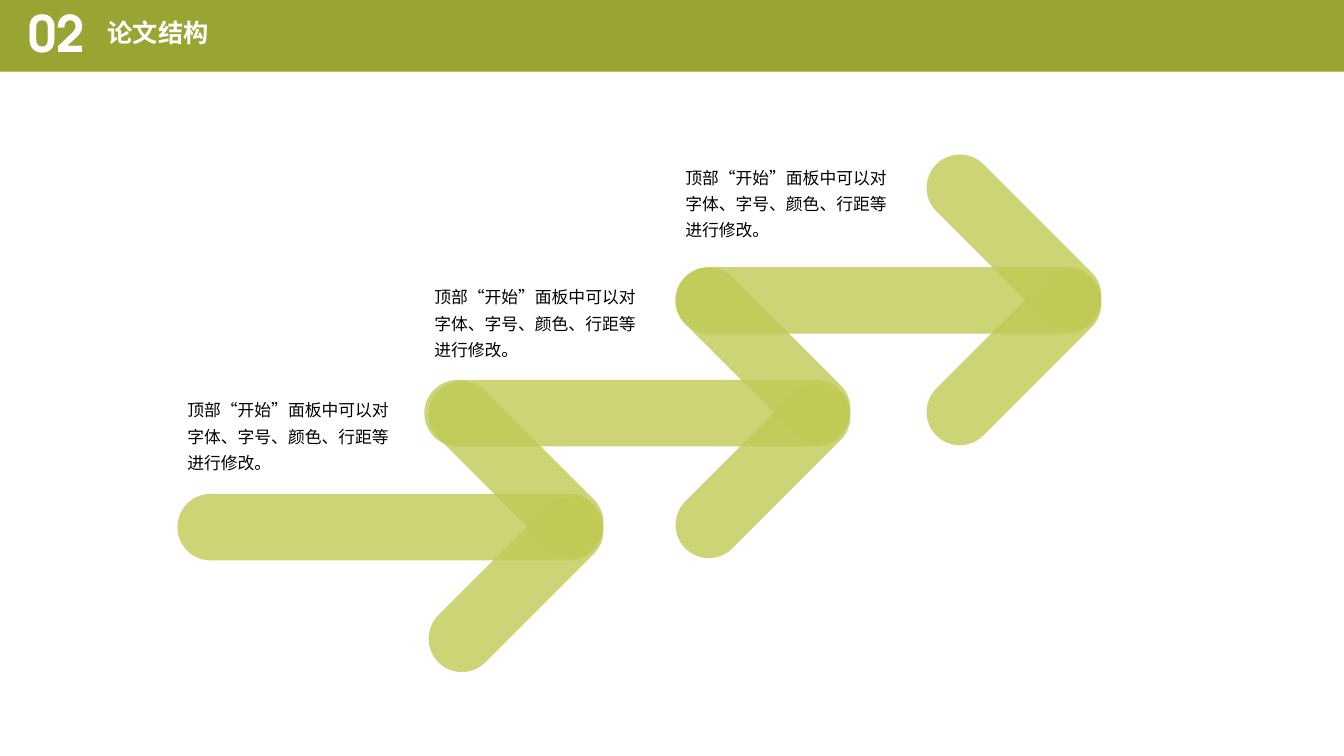
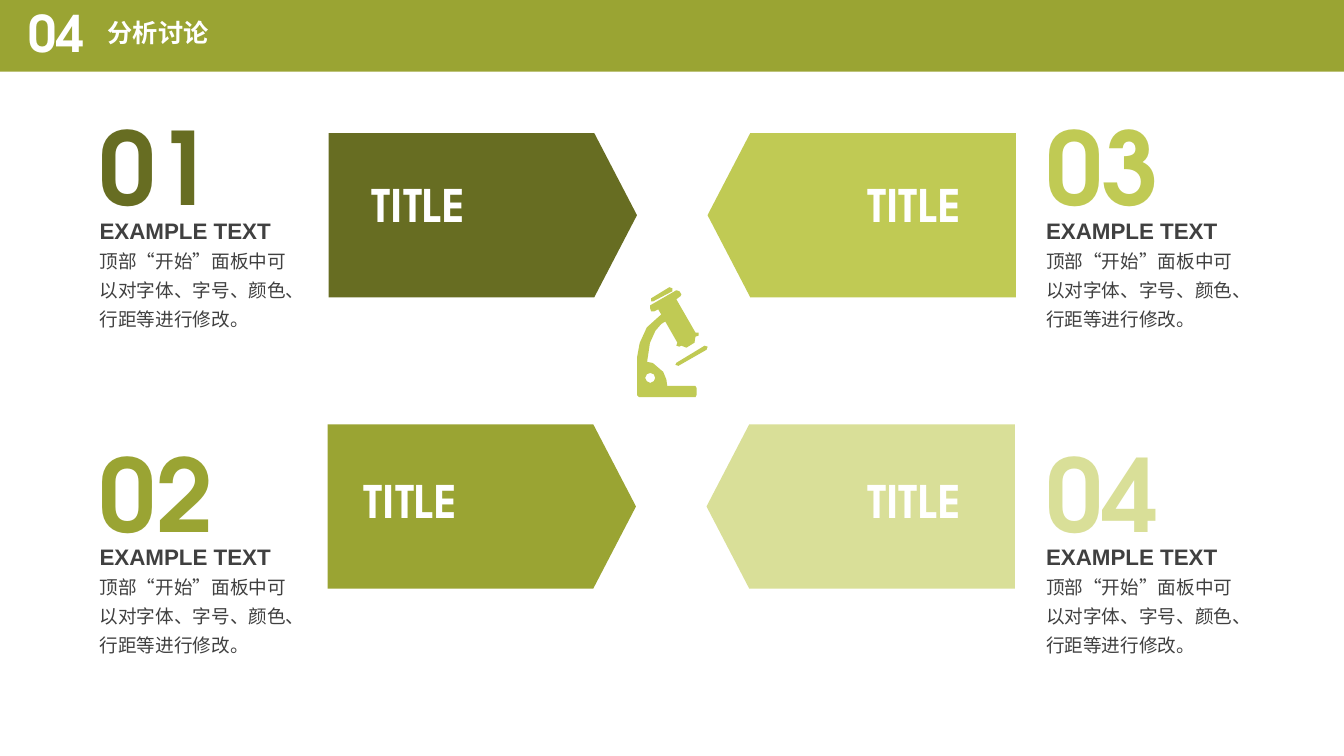
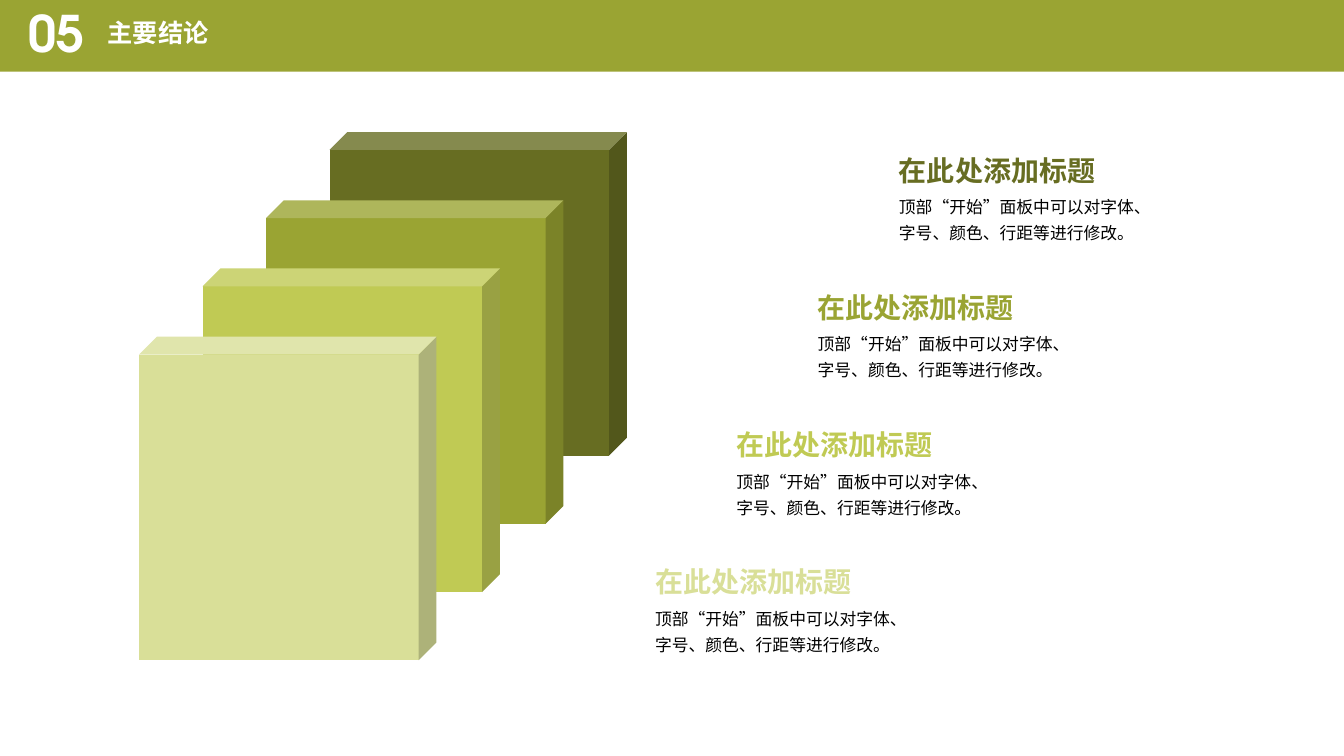
from math import dist

from lxml import etree
from pptx import Presentation
from pptx.dml.color import RGBColor
from pptx.enum.shapes import MSO_SHAPE as SHAPE
from pptx.enum.text import MSO_ANCHOR, MSO_AUTO_SIZE as FIT, PP_ALIGN
from pptx.oxml.ns import qn
from pptx.util import Inches, Pt

DARK = RGBColor(0x67, 0x6D, 0x22)
OLIVE = RGBColor(0x9A, 0xA4, 0x33)
LIME = RGBColor(0xC0, 0xCA, 0x54)
PALE = RGBColor(0xD9, 0xDF, 0x98)
GREY = RGBColor(0x40, 0x40, 0x40)
BLACK = RGBColor(0, 0, 0)
WHITE = RGBColor(0xFF, 0xFF, 0xFF)

DISPLAY = "TeX Gyre Adventor"
CJK = "Noto Sans CJK SC"
HINT = "顶部“开始”面板中可以对字体、字号、颜色、行距等进行修改。"
SLIDE_W = 40 / 3


def add_text(s, text, box, size, color, font=CJK, bold=False, spacing=1.0,
             wrap=True, fit=FIT.SHAPE_TO_FIT_TEXT):
    tf = s.shapes.add_textbox(*map(Inches, box)).text_frame
    tf.word_wrap = wrap
    tf.auto_size = fit
    p = tf.paragraphs[0]
    p.text = text
    p.line_spacing = spacing
    f = p.runs[0].font
    f.name, f.size, f.bold = font, Pt(size), bold
    f.color.rgb = color
    ea = etree.SubElement(p.runs[0]._r.rPr, qn("a:ea"))
    ea.set("typeface", CJK)
    return tf


def add_block(s, kind, box, color, adj=None):
    sp = s.shapes.add_shape(kind, *map(Inches, box))
    sp.shadow.inherit = False
    sp.fill.solid()
    sp.fill.fore_color.rgb = color
    sp.line.fill.background()
    if adj is not None:
        sp.adjustments[0] = adj
    return sp


prs = Presentation()
prs.slide_width, prs.slide_height = Inches(SLIDE_W), Inches(7.5)
blank = prs.slide_layouts[6]

# Section number and title on every slide
slides = []
for number, title in [("02", "论文结构"), ("04", "分析讨论"), ("05", "主要结论")]:
    s = prs.slides.add_slide(blank)
    heading = add_text(s, title, (0.97, 0.16, 4.18, 0.4), 18, WHITE, DISPLAY,
                       True, 0.9, fit=FIT.NONE)
    badge = add_text(s, number, (0.18, 0.09, 0.79, 0.53), 36, WHITE, DISPLAY,
                     True, 0.9, fit=FIT.NONE)
    badge.vertical_anchor = MSO_ANCHOR.MIDDLE
    for tf in (heading, badge):
        tf.paragraphs[0].space_before = Pt(10)
    slides.append(s)
structure, discussion, conclusion = slides

# Header band, moved to the layout that all slides share
band = add_block(structure, SHAPE.RECTANGLE, (0, 0, SLIDE_W, 0.71), OLIVE)
blank.shapes._spTree.append(band._element)

# Structure: three rising arrows, each a shaft and two tilted head bars
arrows = [(1.76, 4.9, 3.86), (4.21, 3.77, 2.74), (6.7, 2.65, 1.55)]
for x, y, text_y in arrows:
    for dx, dy, width, angle in [(0, 0, 4.22, 0), (2.27, -0.58, 2.18, 45),
                                 (2.27, 0.57, 2.18, 315)]:
        bar = add_block(structure, SHAPE.ROUNDED_RECTANGLE,
                        (x + dx, y + dy, width, 0.66), LIME, 0.5)
        bar.rotation = angle
        clr = bar.fill._xPr.find(qn("a:solidFill"))[0]
        etree.SubElement(clr, qn("a:alpha")).set("val", "80000")
for x, y, text_y in reversed(arrows):
    add_text(structure, HINT, (x, text_y, 2.35, 0.89), 12, BLACK, spacing=1.3)

# Discussion: four cards, each a pentagon with a numbered text block
cards = [  # number, colour, text left and top, pentagon left and top, title left and top
    ("01", DARK, 0.89, 0.99, 3.26, 1.32, 3.59, 1.71),
    ("02", OLIVE, 0.89, 4.23, 3.25, 4.21, 3.51, 4.65),
    ("03", LIME, 10.28, 0.99, 7.02, 1.32, 8.49, 1.71),
    ("04", PALE, 10.28, 4.23, 7.01, 4.21, 8.49, 4.65),
]
for number, color, x, y, plate_x, plate_y, title_x, title_y in cards:
    on_right = x > 6
    plate = add_block(discussion, SHAPE.PENTAGON, (plate_x, plate_y, 3.06, 1.63),
                      color, 0.26)
    tf = add_text(discussion, "TITLE", (title_x, title_y, 1.14, 0.64), 32, WHITE,
                  DISPLAY, True, wrap=False)
    if on_right:
        plate._element.spPr.xfrm.set("flipH", "1")
        tf.paragraphs[0].alignment = PP_ALIGN.RIGHT
    add_text(discussion, number, (x, y, 1.33, 1.31), 72, color, DISPLAY, True,
             wrap=False)
    add_text(discussion, "EXAMPLE TEXT", (x, y + 0.98, 2.16, 0.5), 16, GREY,
             "Arial", True, 1.5)
    add_text(discussion, HINT, (x, y + 1.37, 2.16, 0.98), 13.3, GREY, DISPLAY,
             spacing=1.3)

# Microscope: contours of points; six numbers make a Bezier curve
eyepiece = [[(6.46, 2.99), (6.48, 2.99), (6.67, 2.89), (6.67, 2.86),
             (6.64, 2.85), (6.46, 2.96), (6.46, 2.98)]]
stage = [[(6.7, 3.62), (6.73, 3.63), (7.01, 3.47), (7.02, 3.44),
          (6.99, 3.43), (6.71, 3.6)]]
hole = [(6.45, 3.7), (6.48, 3.7, 6.5, 3.72, 6.5, 3.75),
        (6.5, 3.77, 6.48, 3.8, 6.45, 3.8), (6.43, 3.8, 6.4, 3.77, 6.4, 3.75),
        (6.4, 3.72, 6.43, 3.7, 6.45, 3.7)]
body = [(6.32, 3.59), (6.32, 3.92), (6.34, 3.94), (6.9, 3.94), (6.91, 3.92),
        (6.91, 3.85), (6.9, 3.83), (6.62, 3.83),
        (6.62, 3.79, 6.61, 3.75, 6.58, 3.69),
        (6.52, 3.59, 6.42, 3.59, 6.42, 3.59),
        (6.43, 3.29, 6.57, 3.2, 6.6, 3.19), (6.72, 3.4), (6.71, 3.43),
        (6.74, 3.44), (6.76, 3.43), (6.81, 3.45), (6.89, 3.4), (6.9, 3.34),
        (6.93, 3.33), (6.93, 3.3), (6.9, 3.3), (6.71, 2.97), (6.75, 2.94),
        (6.76, 2.92), (6.74, 2.89), (6.71, 2.88), (6.45, 3.03), (6.45, 3.06),
        (6.46, 3.09), (6.49, 3.09), (6.53, 3.07), (6.56, 3.12),
        (6.31, 3.25, 6.32, 3.59, 6.32, 3.59)]
for part in (eyepiece, [hole, body], stage):
    builder = None
    for contour in part:
        pts = [contour[0]]
        for seg in contour[1:]:
            if len(seg) == 2:
                pts.append(seg)
                continue
            ctrl = (pts[-1], seg[:2], seg[2:4], seg[4:])
            steps = 4 if dist(ctrl[0], ctrl[3]) > 0.3 else 2
            for i in range(1, steps + 1):
                t = i / steps
                weights = ((1 - t) ** 3, 3 * t * (1 - t) ** 2,
                           3 * t * t * (1 - t), t ** 3)
                pts.append(tuple(sum(w * c[k] for w, c in zip(weights, ctrl))
                                 for k in (0, 1)))
        pts = [(Inches(px), Inches(py)) for px, py in pts]
        if builder is None:
            builder = discussion.shapes.build_freeform(*pts[0])
        else:
            builder.move_to(*pts[0])
        builder.add_line_segments(pts[1:], close=True)
    sp = builder.convert_to_shape()
    sp.shadow.inherit = False
    sp.fill.solid()
    sp.fill.fore_color.rgb = LIME
    sp.line.fill.background()

# Conclusion: stacked cubes, with a stepped heading for each
for i, color in enumerate([DARK, OLIVE, LIME, PALE]):
    t = i / 3
    add_block(conclusion, SHAPE.CUBE,
              (3.27 - 1.89 * t, 1.31 + 2.03 * t, 2.95, 3.21), color, 0.06)
    x = 8.82 - 2.42 * t
    add_text(conclusion, HINT, (x, 1.84 + 4.09 * t, 2.58, 0.63), 12, BLACK,
             spacing=1.3)
    add_text(conclusion, "在此处添加标题", (x, 1.37 + 4.08 * t, 3.19, 0.54), 20,
             color, bold=True, spacing=1.3)

prs.save("out.pptx")
